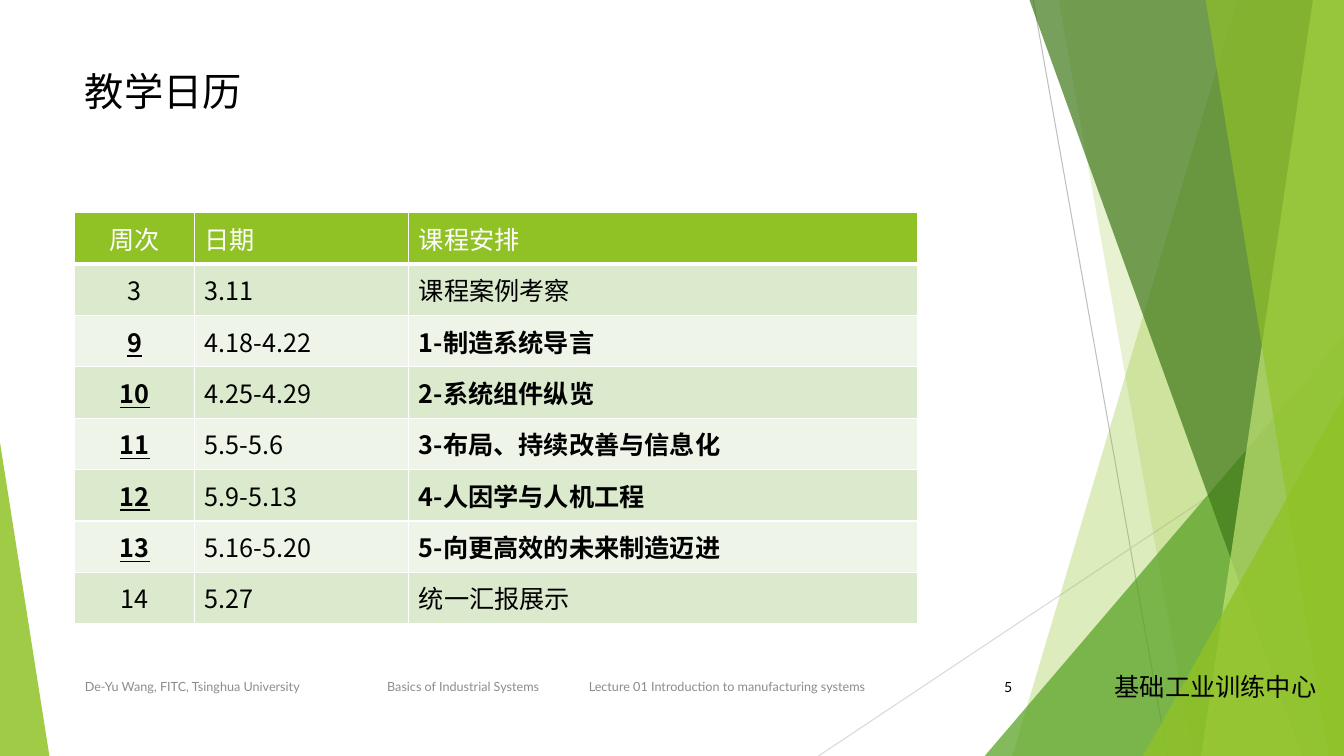
from dataclasses import dataclass

from lxml.etree import SubElement
from pptx import Presentation
from pptx.dml.color import RGBColor
from pptx.enum.shapes import MSO_CONNECTOR, MSO_SHAPE
from pptx.enum.text import MSO_ANCHOR, MSO_AUTO_SIZE, PP_ALIGN
from pptx.oxml.ns import qn
from pptx.util import Pt


@dataclass(frozen=True)
class Theme:
    lime: str = "90C226"
    green: str = "54A021"
    forest: str = "3F7819"
    pale: str = "C0E474"
    white: str = "FFFFFF"
    black: str = "000000"
    grey: str = "8C8C8C"
    bands: tuple[str, str] = ("DBE9CD", "EEF4E8")
    cjk: str = "Noto Sans CJK SC"
    latin: str = "Lato"
    centre_font: str = "Arial"
    title_size: float = 28
    body_size: float = 18
    number_size: float = 10
    footer_size: float = 9


@dataclass(frozen=True)
class Ray:
    start: tuple[float, float]
    end: tuple[float, float]
    color: str


@dataclass(frozen=True)
class Facet:
    """Four-sided panel whose slanted left side runs down the page."""
    top_x: float
    bottom_x: float
    color: str
    opacity: int


@dataclass(frozen=True)
class Wedge:
    """Right triangle standing on the bottom edge; apex 0 is left, 1 is right."""
    left: float
    top: float
    width: float
    apex: int
    color: str
    opacity: int


@dataclass(frozen=True)
class Label:
    text: str
    left: float
    width: float
    font: str
    size: float
    color: str
    align: PP_ALIGN = PP_ALIGN.LEFT
    anchor: MSO_ANCHOR = MSO_ANCHOR.MIDDLE
    wrap: bool = True
    tabs: tuple[float, ...] = ()


@dataclass(frozen=True)
class Week:
    number: str
    dates: str
    topic: str
    lecture: bool = True


THEME = Theme()
WIDTH, HEIGHT = 960, 540
BLEED = -0.6
MARGIN = 53.5
FOOTER_TOP, FOOTER_HEIGHT = 476, 29
TABLE_TOP, ROW_HEIGHT = 152, 36.7
COLUMN_WIDTHS = (85.5, 153, 363.3)

RAYS = (
    Ray((738, 0), (833.8, HEIGHT), "BFBFBF"),
    Ray((WIDTH, 290.2), (584.6, HEIGHT), "D9D9D9"),
)
PANELS = (
    Facet(884.2, 722.9, THEME.lime, 30),
    Facet(756, 851.8, THEME.lime, 20),
    Wedge(703.4, 239.8, 256.6, 1, THEME.green, 72),
    Facet(735.1, 929.5, THEME.forest, 70),
    Facet(938.2, 858.2, THEME.pale, 70),
    Facet(861.1, 949, THEME.lime, 65),
    Wedge(816.5, 283, 143.5, 1, THEME.lime, 80),
    Wedge(0, 316.1, 35.3, 0, THEME.lime, 85),
)
LABELS = (
    Label("基础工业训练中心", 789.1, 164.2, THEME.centre_font, THEME.body_size,
          THEME.black, anchor=MSO_ANCHOR.TOP, wrap=False),
    Label("De-Yu Wang, FITC, Tsinghua University\t\tBasics of Industrial Systems"
          "\tLecture 01 Introduction to manufacturing systems",
          MARGIN, 622.8, THEME.latin, THEME.footer_size, THEME.grey, tabs=(180, 216, 360)),
    Label("5", 676.1, 54, THEME.latin, THEME.number_size, THEME.black, PP_ALIGN.RIGHT),
)
HEADINGS = ("周次", "日期", "课程安排")
WEEKS = (
    Week("3", "3.11", "课程案例考察", lecture=False),
    Week("9", "4.18-4.22", "1-制造系统导言"),
    Week("10", "4.25-4.29", "2-系统组件纵览"),
    Week("11", "5.5-5.6", "3-布局、持续改善与信息化"),
    Week("12", "5.9-5.13", "4-人因学与人机工程"),
    Week("13", "5.16-5.20", "5-向更高效的未来制造迈进"),
    Week("14", "5.27", "统一汇报展示", lecture=False),
)


def style_text(para, font: str, size: float, color: str, bold=False, underline=False) -> None:
    for span in para.runs:
        span.font.size = Pt(size)
        span.font.bold = bold
        span.font.underline = underline
        span.font.color.rgb = RGBColor.from_string(color)
        span.font.name = font
        if font == THEME.cjk:
            SubElement(span.font._element, qn("a:ea"), typeface=font)


def draw_ray(page, ray: Ray) -> None:
    points = [Pt(value) for value in ray.start + ray.end]
    line = page.shapes.add_connector(MSO_CONNECTOR.STRAIGHT, *points)
    line.line.color.rgb = RGBColor.from_string(ray.color)
    line.line.width = Pt(0.75)
    SubElement(line.element.spPr, qn("a:effectLst"))


def draw_panel(page, panel: Facet | Wedge) -> None:
    if isinstance(panel, Facet):
        outline = page.shapes.build_freeform(panel.top_x, BLEED, scale=Pt(1))
        outline.add_line_segments(
            [(WIDTH, BLEED), (WIDTH, HEIGHT), (panel.bottom_x, HEIGHT)], close=True)
        shape = outline.convert_to_shape()
    else:
        shape = page.shapes.add_shape(
            MSO_SHAPE.ISOSCELES_TRIANGLE, Pt(panel.left), Pt(panel.top),
            Pt(panel.width), Pt(HEIGHT - panel.top))
        shape.adjustments[0] = panel.apex
    shape.shadow.inherit = False
    shape.line.fill.background()
    shape.fill.solid()
    shape.fill.fore_color.rgb = RGBColor.from_string(panel.color)
    color = shape.element.spPr.find(qn("a:solidFill"))[0]
    SubElement(color, qn("a:alpha"), val=str(panel.opacity * 1000))


def draw_label(page, label: Label) -> None:
    box = page.shapes.add_textbox(
        Pt(label.left), Pt(FOOTER_TOP), Pt(label.width), Pt(FOOTER_HEIGHT))
    frame = box.text_frame
    frame.word_wrap = label.wrap
    frame.vertical_anchor = label.anchor
    frame.text = label.text
    para = frame.paragraphs[0]
    para.alignment = label.align
    if label.tabs:
        stops = SubElement(para._p.get_or_add_pPr(), qn("a:tabLst"))
        for stop in label.tabs:
            SubElement(stops, qn("a:tab"), pos=str(Pt(stop)), algn="l")
    style_text(para, label.font, label.size, label.color)


def place_title(page, text: str) -> None:
    title = page.shapes.title
    title.element.getparent().append(title.element)  # in front of the panels
    title.left, title.top, title.width, title.height = Pt(MARGIN), Pt(48.2), Pt(677), Pt(57.6)
    frame = title.text_frame
    frame.text = text
    frame.auto_size = MSO_AUTO_SIZE.NONE
    frame.vertical_anchor = MSO_ANCHOR.TOP
    para = frame.paragraphs[0]
    para.alignment = PP_ALIGN.LEFT
    para.line_spacing = 0.9
    style_text(para, THEME.cjk, THEME.title_size, THEME.black)


def add_borders(cell, row: int) -> None:
    """White rules, with a heavy one between heading and first week."""
    widths = {"L": 1, "R": 1, "T": 3 if row == 1 else 1, "B": 3 if row == 0 else 1}
    for side, width in widths.items():
        line = SubElement(cell._tc.get_or_add_tcPr(), qn(f"a:ln{side}"), w=str(Pt(width)))
        SubElement(SubElement(line, qn("a:solidFill")), qn("a:srgbClr"), val=THEME.white)


def draw_calendar(page) -> None:
    rows = [HEADINGS, *((week.number, week.dates, week.topic) for week in WEEKS)]
    table = page.shapes.add_table(
        len(rows), len(HEADINGS), Pt(MARGIN), Pt(TABLE_TOP),
        Pt(sum(COLUMN_WIDTHS)), Pt(ROW_HEIGHT * len(rows))).table
    for column, width in zip(table.columns, COLUMN_WIDTHS):
        column.width = Pt(width)
    for row, texts in enumerate(rows):
        heading = row == 0
        lecture = not heading and WEEKS[row - 1].lecture
        for column, text in enumerate(texts):
            cell = table.cell(row, column)
            cell.text = text
            cell.vertical_anchor = MSO_ANCHOR.MIDDLE
            add_borders(cell, row)
            cell.fill.solid()
            cell.fill.fore_color.rgb = RGBColor.from_string(
                THEME.lime if heading else THEME.bands[(row - 1) % 2])
            para = cell.text_frame.paragraphs[0]
            para.alignment = PP_ALIGN.CENTER if column == 0 else PP_ALIGN.LEFT
            style_text(para, THEME.cjk, THEME.body_size,
                       THEME.white if heading else THEME.black,
                       bold=lecture and column != 1, underline=lecture and column == 0)


def main() -> None:
    deck = Presentation()
    deck.slide_width, deck.slide_height = Pt(WIDTH), Pt(HEIGHT)
    page = deck.slides.add_slide(deck.slide_layouts.get_by_name("Title Only"))
    for ray in RAYS:
        draw_ray(page, ray)
    for panel in PANELS:
        draw_panel(page, panel)
    place_title(page, "教学日历")
    draw_calendar(page)
    for label in LABELS:
        draw_label(page, label)
    deck.save("out.pptx")


if __name__ == "__main__":
    main()
